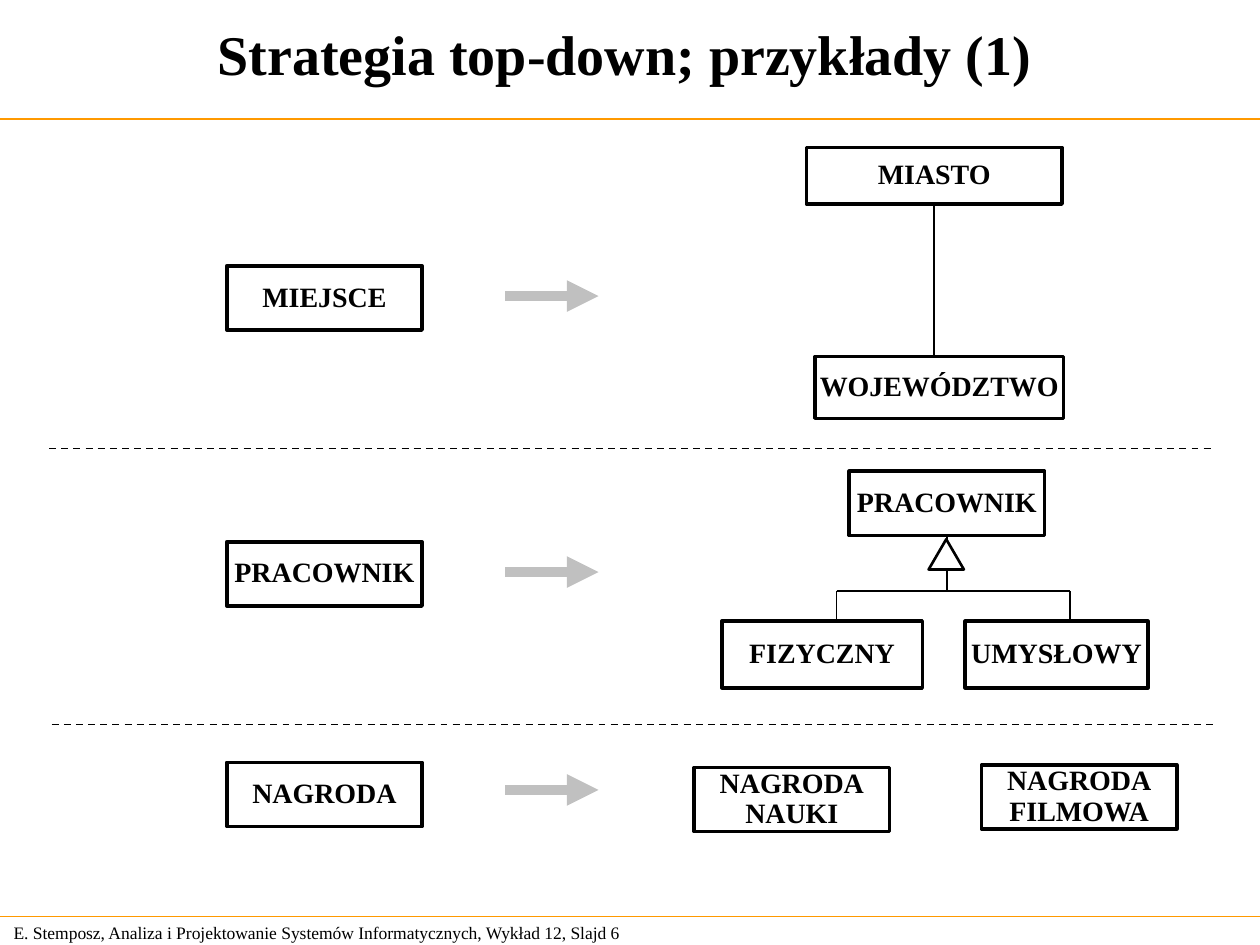
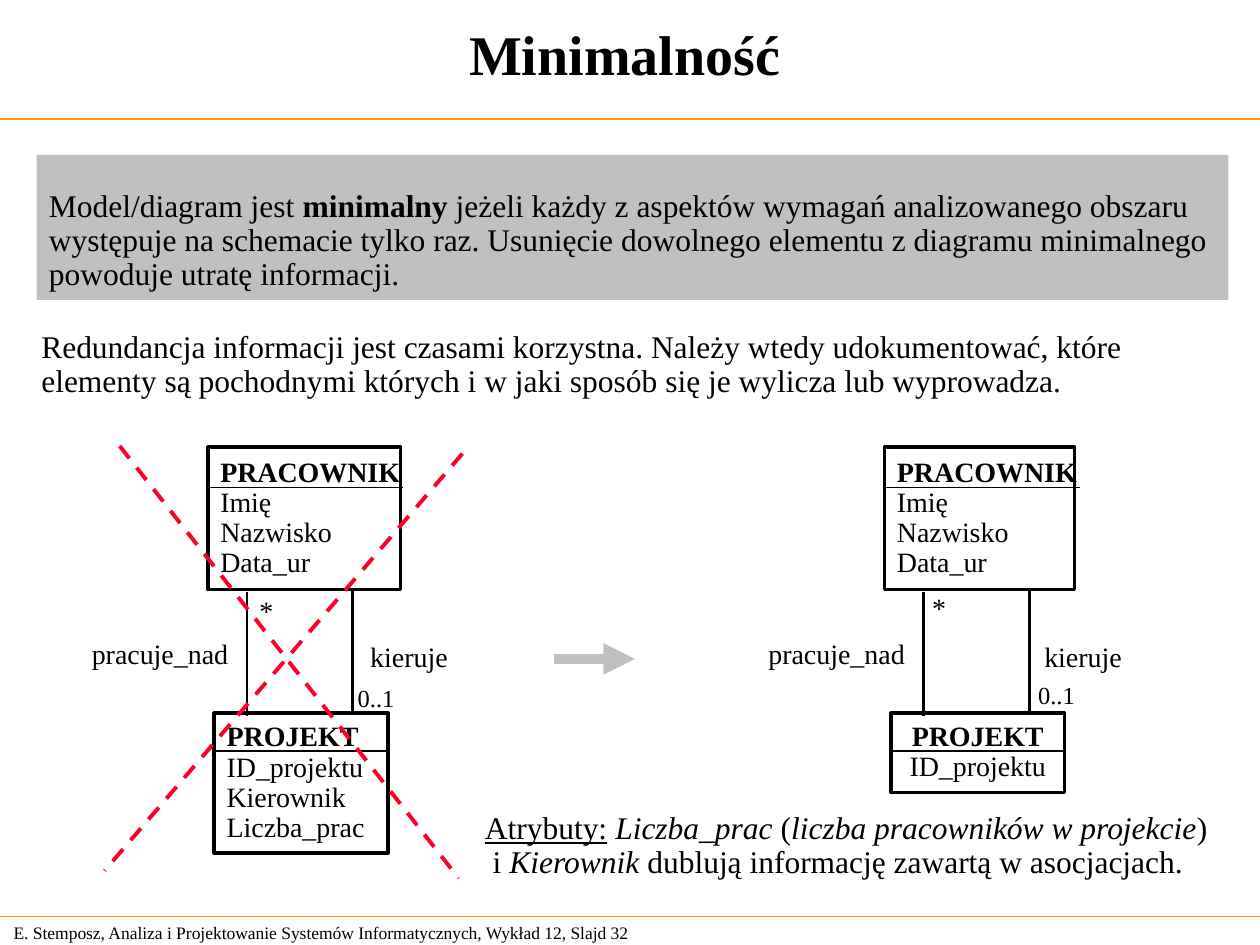
from dataclasses import dataclass
from typing import Optional

from lxml.etree import SubElement
from pptx import Presentation
from pptx.dml.color import RGBColor
from pptx.enum.dml import MSO_LINE
from pptx.enum.shapes import MSO_CONNECTOR, MSO_SHAPE
from pptx.enum.text import MSO_ANCHOR as ANCHOR, MSO_AUTO_SIZE as AUTO, PP_ALIGN as ALIGN
from pptx.oxml.ns import qn
from pptx.util import Emu, Inches, Pt

# Grid: 100 columns by 75 rows of square cells
COLS, ROWS = 100, 75
WIDTH, HEIGHT = Inches(10), Inches(7.5)

FONT = "Times New Roman"
BLACK, WHITE, GREY = "000000", "FFFFFF", "C0C0C0"
ORANGE, RED = "FF9900", "FC0128"
FOOTER = "E. Stemposz, Analiza i Projektowanie Systemów Informatycznych, Wykład 12, Slajd "
BOTTOM = 2  # connection site of a rectangle

Run = tuple[str, str]  # text and any of the flags b, i, u
Para = list[Run]


@dataclass
class Box:
    x: float
    y: float
    w: float
    h: float
    paras: list[Para]
    align: ALIGN = ALIGN.CENTER


@dataclass
class Line:
    x1: float
    y1: float
    x2: float
    y2: float
    color: str = BLACK
    width: float = 1
    dashed: bool = False
    arrow: bool = False


@dataclass
class Label:
    x: float
    y: float
    w: float
    h: float
    paras: list[Para]
    size: float = 16
    wrap: bool = False
    spacing: float = 1.0
    align: ALIGN = ALIGN.LEFT
    anchor: ANCHOR = ANCHOR.TOP


@dataclass
class ClassDiagram:
    x: float
    worker_w: float
    project: Box
    star: tuple[float, float]
    role_x: float
    multiplicity: tuple[float, float]


def rgb(value: str) -> RGBColor:
    return RGBColor.from_string(value)


def col(n: float) -> Emu:
    return Emu(round(WIDTH * n / COLS))


def row(n: float) -> Emu:
    return Emu(round(HEIGHT * n / ROWS))


def area(item) -> tuple[Emu, Emu, Emu, Emu]:
    return col(item.x), row(item.y), col(item.w), row(item.h)


def apply(target, values: dict) -> None:
    for name, value in values.items():
        setattr(target, name, value)


def plain(*texts: str) -> list[Para]:
    return [[(text, "")] for text in texts]


def bold(*texts: str) -> list[Para]:
    return [[(text, "b")] for text in texts]


def write(tf, paras: list[Para], size: float, align: ALIGN, spacing: float = 1.0, **frame) -> None:
    apply(tf, dict(margin_left=col(1), margin_right=col(1),
                   margin_top=row(0.5), margin_bottom=row(0.5)) | frame)
    for i, runs in enumerate(paras):
        p = tf.paragraphs[0] if i == 0 else tf.add_paragraph()
        apply(p, dict(alignment=align, line_spacing=spacing))
        for text, flags in runs:
            r = p.add_run()
            r.text = text
            apply(r.font, dict(name=FONT, size=Pt(size), bold="b" in flags,
                               italic="i" in flags, underline="u" in flags))
            r.font.color.rgb = rgb(BLACK)


def draw_shape(s, item, kind=MSO_SHAPE.RECTANGLE, fill: Optional[str] = None,
               line: Optional[float] = 2):
    sp = s.shapes.add_shape(kind, *area(item))
    sp.shadow.inherit = False
    if fill:
        sp.fill.solid()
        sp.fill.fore_color.rgb = rgb(fill)
    else:
        sp.fill.background()
    if line:
        sp.line.color.rgb = rgb(BLACK)
        sp.line.width = Pt(line)
    else:
        sp.line.fill.background()
    return sp


def draw_box(s, box: Box):
    sp = draw_shape(s, box)
    write(sp.text_frame, box.paras, 16, box.align, 0.9,
          word_wrap=False, vertical_anchor=ANCHOR.MIDDLE)
    return sp


def draw_line(s, line: Line, start=None):
    cx = s.shapes.add_connector(MSO_CONNECTOR.STRAIGHT, col(line.x1), row(line.y1),
                                col(line.x2), row(line.y2))
    if start is not None:
        cx.begin_connect(start, BOTTOM)
    cx.line.color.rgb = rgb(line.color)
    cx.line.width = Pt(line.width)
    if line.dashed:
        cx.line.dash_style = MSO_LINE.DASH
    if line.arrow:
        SubElement(cx.line._get_or_add_ln(), qn("a:tailEnd"), type="triangle")
    SubElement(cx._element.spPr, qn("a:effectLst"))
    return cx


def draw_label(s, label: Label) -> None:
    tb = s.shapes.add_textbox(*area(label))
    write(tb.text_frame, label.paras, label.size, label.align, label.spacing,
          word_wrap=label.wrap, vertical_anchor=label.anchor)


def draw_arrow(s, x: float, y: float, length: float) -> None:
    draw_line(s, Line(x, y, x + length, y, GREY, 6, arrow=True))


def new_slide(prs, title: str, number: int):
    s = prs.slides.add_slide(prs.slide_layouts[5])
    # Footer and the two rules
    draw_label(s, Label(0.1, 72.7, 60, 2.7, plain(f"{FOOTER}{number}"), 10,
                        wrap=True, anchor=ANCHOR.MIDDLE))
    for y in (9.45, 72.75):
        draw_line(s, Line(0, y, COLS, y, ORANGE, 0.75))
    # Title
    sp = s.shapes.title
    apply(sp, dict(left=0, top=0, width=col(99.2), height=row(8.5)))
    write(sp.text_frame, bold(title), 32, ALIGN.CENTER, word_wrap=True,
          auto_size=AUTO.NONE, vertical_anchor=ANCHOR.MIDDLE)
    return s


def draw_class_diagram(s, d: ClassDiagram) -> None:
    x = d.x
    draw_box(s, Box(x, 35.5, d.worker_w, 11.3,
                    bold("PRACOWNIK") + plain("Imię", "Nazwisko", "Data_ur"), ALIGN.LEFT))
    draw_box(s, d.project)
    # Rules under the class names, then the two associations
    for line in (Line(x, 38.7, x + 15.5, 38.7),
                 Line(x + 0.4, 59.6, x + 14.2, 59.6),
                 Line(x + 3.1, 47, x + 3.1, 56.8, width=1.5),
                 Line(x + 11.5, 46.9, x + 11.5, 56.6, width=1.5)):
        draw_line(s, line)
    for label in (Label(x - 10.2, 50, 12.8, 3.7, plain("pracuje_nad")),
                  Label(d.role_x, 50.3, 9, 3.7, plain("kieruje")),
                  Label(*d.multiplicity, 4.9, 3.4, plain("0..1"), 14),
                  Label(*d.star, 3.1, 3.7, plain("*"))):
        draw_label(s, label)


def build_strategy(prs) -> None:
    s = new_slide(prs, "Strategia top-down; przykłady (1)", 6)

    # General concepts and the arrows to their refinements
    for name, y, arrow_y in (("MIEJSCE", 21.1, 23.5), ("PRACOWNIK", 43, 45.4),
                             ("NAGRODA", 60.5, 62.7)):
        draw_box(s, Box(18, y, 15.5, 5.1, bold(name)))
        draw_arrow(s, 40.1, arrow_y, 7.4)
    for x, y in ((3.9, 35.6), (4.1, 57.5)):
        draw_line(s, Line(x, y, x + 92.2, y, dashed=True))

    # Place: association
    city = draw_box(s, Box(64, 11.7, 20.3, 4.5, bold("MIASTO")))
    draw_box(s, Box(64.7, 28.3, 19.7, 4.9, bold("WOJEWÓDZTWO")))
    draw_line(s, Line(74.15, 16.2, 74.15, 28.3), start=city)

    # Worker: generalisation
    worker = draw_box(s, Box(67.4, 37.4, 15.5, 5.1, bold("PRACOWNIK")))
    draw_box(s, Box(57.3, 49.3, 15.9, 5.3, bold("FIZYCZNY")))
    draw_box(s, Box(76.6, 49.3, 14.5, 5.3, bold("UMYSŁOWY")))
    draw_line(s, Line(75.15, 42.5, 75.15, 46.9), start=worker)
    draw_line(s, Line(66.4, 46.9, 84.9, 46.9))
    for x in (66.4, 84.9):
        draw_line(s, Line(x, 46.9, x, 49.3))
    draw_shape(s, Box(73.7, 42.8, 2.8, 2.4, []), MSO_SHAPE.ISOSCELES_TRIANGLE, WHITE, 1.5)

    # Award: separate kinds
    for x, y, kind in ((55.1, 60.9, "NAUKI"), (77.9, 60.7, "FILMOWA")):
        draw_box(s, Box(x, y, 15.5, 5.1, bold("NAGRODA", kind)))


def build_minimality(prs) -> None:
    s = new_slide(prs, "Minimalność", 32)

    # Definition band
    band = draw_shape(s, Box(2.9, 12.3, 94.6, 11.5, []), fill=GREY, line=None)
    definition = [[("Model/diagram jest ", ""), ("minimalny ", "b"),
                   ("jeżeli każdy z aspektów wymagań analizowanego obszaru występuje na "
                    "schemacie tylko raz. Usunięcie dowolnego elementu z diagramu "
                    "minimalnego powoduje utratę informacji.", "")]]
    write(band.text_frame, definition, 18, ALIGN.LEFT, 0.9, margin_top=row(2.8),
          word_wrap=True, vertical_anchor=ANCHOR.TOP)
    draw_label(s, Label(2.3, 25.8, 94.4, 6.4, plain(
        "Redundancja informacji jest czasami korzystna. Należy wtedy udokumentować, które "
        "elementy są pochodnymi których i w jaki sposób się je wylicza lub wyprowadza."),
        18, wrap=True, spacing=0.9))

    # Redundant and minimal diagrams
    project = bold("PROJEKT") + plain("ID_projektu")
    redundant = Box(17, 56.6, 13.8, 11.1, project + plain("Kierownik", "Liczba_prac"), ALIGN.LEFT)
    minimal = Box(70.7, 56.6, 13.8, 6.3, project)
    for diagram in (
            ClassDiagram(16.5, 15.3, redundant, (19.6, 46.6), 28.4, (27.4, 53.7)),
            ClassDiagram(70.2, 15.1, minimal, (73, 46.4), 81.9, (81.4, 53.5))):
        draw_class_diagram(s, diagram)
    draw_arrow(s, 44, 52.3, 6.4)

    # Cross over the redundant diagram
    for ends in ((9.5, 35.4, 36.4, 69.7), (36.7, 36, 8.3, 69.1)):
        draw_line(s, Line(*ends, RED, 2.25, dashed=True))

    # Remark on the repeated attributes
    draw_label(s, Label(37.5, 63.9, 62.5, 6.5, [
        [("Atrybuty:", "u"), (" ", ""), ("Liczba_prac", "i"), (" (", ""),
         ("liczba pracowników w projekcie", "i"), (")", "")],
        [(" i ", ""), ("Kierownik", "i"), (" dublują informację zawartą w asocjacjach.", "")],
    ], 18, spacing=0.9, align=ALIGN.JUSTIFY, anchor=ANCHOR.MIDDLE))


def main() -> None:
    prs = Presentation()
    apply(prs, dict(slide_width=WIDTH, slide_height=HEIGHT))
    build_strategy(prs)
    build_minimality(prs)
    prs.save("out.pptx")


if __name__ == "__main__":
    main()
